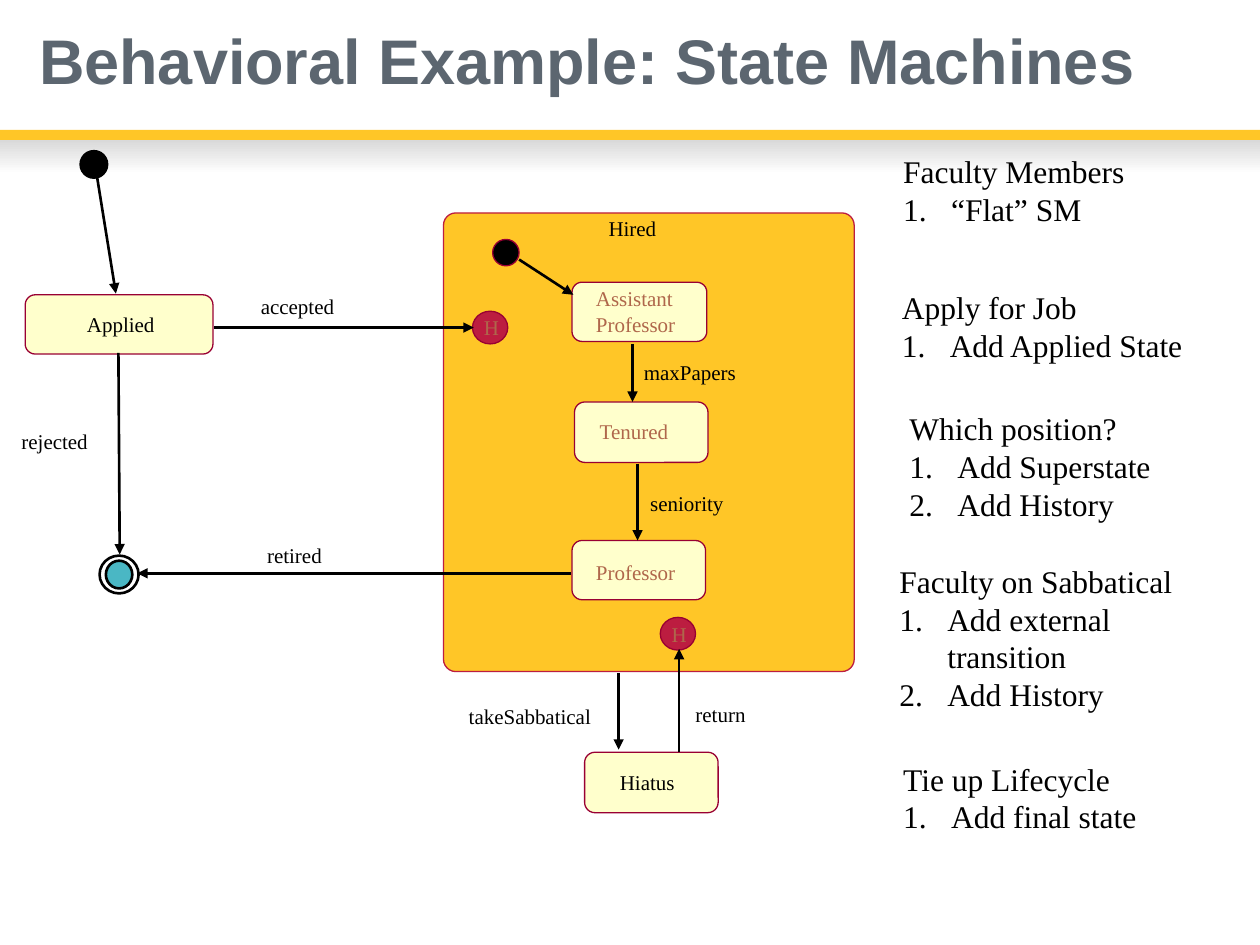
from lxml import etree
from pptx import Presentation
from pptx.dml.color import RGBColor
from pptx.enum.shapes import MSO_CONNECTOR, MSO_SHAPE
from pptx.enum.text import MSO_ANCHOR, PP_ALIGN
from pptx.oxml.ns import qn
from pptx.util import Inches, Pt

RECT = MSO_SHAPE.RECTANGLE
ROUND = MSO_SHAPE.ROUNDED_RECTANGLE
OVAL = MSO_SHAPE.OVAL
STRAIGHT = MSO_CONNECTOR.STRAIGHT
MIDDLE = MSO_ANCHOR.MIDDLE
LEFT = PP_ALIGN.LEFT

BLACK = RGBColor(0x00, 0x00, 0x00)
WHITE = RGBColor(0xFF, 0xFF, 0xFF)
SHADE = RGBColor(0xD9, 0xD9, 0xD9)
GOLD = RGBColor(0xFF, 0xC6, 0x27)
SLATE = RGBColor(0x5C, 0x66, 0x70)
CREAM = RGBColor(0xFF, 0xFF, 0xCC)
WINE = RGBColor(0x99, 0x00, 0x33)
RED = RGBColor(0xBC, 0x1D, 0x40)
BROWN = RGBColor(0xAF, 0x67, 0x4B)
TEAL = RGBColor(0x4A, 0xB7, 0xC4)

SERIF = "Times New Roman"


class Board:
    def __init__(self, slide):
        self.slide = slide
        self.shapes = slide.shapes

    def words(self, para, text, size, color, face=SERIF, bold=False):
        run = para.add_run()
        run.text = text
        font = run.font
        font.name, font.size, font.bold = face, Pt(size), bold
        font.color.rgb = color

    def title(self, text):
        title = self.shapes.title
        title.left, title.top = Inches(0.21), Inches(0)
        title.width, title.height = Inches(9.52), Inches(1.02)
        frame = title.text_frame
        frame.vertical_anchor = MIDDLE
        para = frame.paragraphs[0]
        para.alignment = LEFT
        para.line_spacing = 0.9
        self.words(para, text, 36, SLATE, "Arial", True)

    def shape(self, kind, x, y, w, h, fill=None, line=None, width=0.75):
        item = self.shapes.add_shape(
            kind, Inches(x), Inches(y), Inches(w), Inches(h))
        item.shadow.inherit = False
        if fill is None:
            item.fill.background()
        else:
            item.fill.solid()
            item.fill.fore_color.rgb = fill
        if line is None:
            item.line.fill.background()
        else:
            item.line.color.rgb = line
            item.line.width = Pt(width)
        return item

    def band(self):
        fade = self.shape(RECT, 0, 1.11, 10, 0.27, WHITE).fill
        fade.gradient()
        fade.gradient_angle = 270
        for stop, color, place in zip(fade.gradient_stops, (SHADE, WHITE), (0, 1)):
            stop.color.rgb = color
            stop.position = place
        self.shape(RECT, 0, 1.03, 10, 0.08, GOLD)

    def state(self, x, y, w, h=0.47):
        self.shape(ROUND, x, y, w, h, CREAM, WINE).adjustments[0] = 0.17

    def label(self, text, x, y, w, color=BLACK, fill=None):
        lines = text.split("\n")
        box = self.shapes.add_textbox(
            Inches(x), Inches(y), Inches(w), Inches(0.2 * len(lines)))
        if fill is not None:
            box.fill.solid()
            box.fill.fore_color.rgb = fill
        frame = box.text_frame
        frame.word_wrap = False
        frame.margin_left = frame.margin_right = 0
        frame.margin_top = frame.margin_bottom = 0
        for i, line in enumerate(lines):
            para = frame.add_paragraph() if i else frame.paragraphs[0]
            self.words(para, line, 12, color)

    def past(self, x, y):
        self.shape(OVAL, x, y, 0.28, 0.26, RED, WINE)
        self.label("H", x + 0.09, y + 0.03, 0.12, BROWN, RED)

    def arrow(self, x1, y1, x2, y2):
        link = self.shapes.add_connector(
            STRAIGHT, Inches(x1), Inches(y1), Inches(x2), Inches(y2))
        link.line.color.rgb = BLACK
        link.line.width = Pt(1.5)
        props = link._element.spPr
        etree.SubElement(props.find(qn("a:ln")), qn("a:tailEnd"), type="triangle")
        etree.SubElement(props, qn("a:effectLst"))

    def notes(self, x, y, w, head, *steps):
        box = self.shapes.add_textbox(
            Inches(x), Inches(y), Inches(w), Inches(0.1 + 0.3 * (len(steps) + 1)))
        frame = box.text_frame
        frame.word_wrap = True
        self.words(frame.paragraphs[0], head, 18, BLACK)
        for step in steps:
            para = frame.add_paragraph()
            props = para._p.get_or_add_pPr()
            props.set("marL", str(Inches(0.38)))
            props.set("indent", str(Inches(-0.38)))
            tint = etree.SubElement(props, qn("a:buClr"))
            etree.SubElement(tint, qn("a:srgbClr"), val=str(BLACK))
            etree.SubElement(props, qn("a:buFont"), typeface=SERIF)
            etree.SubElement(props, qn("a:buAutoNum"), type="arabicPeriod")
            self.words(para, step, 18, BLACK)


def main():
    deck = Presentation()
    deck.slide_width, deck.slide_height = Inches(10), Inches(7.5)
    board = Board(deck.slides.add_slide(deck.slide_layouts[5]))
    board.band()
    board.title("Behavioral Example: State Machines")

    board.shape(ROUND, 3.52, 1.69, 3.26, 3.64, GOLD, RED).adjustments[0] = 0.03
    board.label("Hired", 4.83, 1.71, 0.4)

    board.shape(OVAL, 0.64, 1.2, 0.21, 0.21, BLACK, BLACK, 1.5)
    board.shape(OVAL, 3.91, 1.9, 0.21, 0.21, BLACK, WINE)
    board.shape(OVAL, 0.79, 4.41, 0.31, 0.3, None, BLACK, 1.5)
    board.shape(OVAL, 0.84, 4.45, 0.21, 0.22, TEAL, BLACK, 1.5)

    for box in (
        (0.2, 2.34, 1.49),
        (4.54, 2.24, 1.07),
        (4.56, 3.19, 1.06, 0.48),
        (4.54, 4.29, 1.06),
        (4.64, 5.97, 1.06, 0.48),
    ):
        board.state(*box)

    board.past(3.75, 2.47)
    board.past(5.24, 4.9)

    for ends in (
        (0.77, 1.4, 0.92, 2.33),
        (1.7, 2.6, 3.76, 2.6),
        (0.94, 2.8, 0.95, 4.4),
        (4.53, 4.55, 1.09, 4.55),
        (4.12, 2.06, 4.55, 2.34),
        (5.02, 2.73, 5.02, 3.19),
        (5.06, 3.68, 5.06, 4.29),
        (5.39, 5.97, 5.39, 5.15),
        (4.91, 5.34, 4.91, 5.95),
    ):
        board.arrow(*ends)

    for label in (
        ("Applied", 0.69, 2.47, 0.56),
        ("accepted", 2.07, 2.33, 0.68),
        ("rejected", 0.17, 3.4, 0.59),
        ("retired", 2.12, 4.31, 0.47),
        ("Assistant\nProfessor", 4.73, 2.27, 0.71, BROWN),
        ("Tenured", 4.76, 3.32, 0.62, BROWN),
        ("Professor", 4.73, 4.44, 0.71, BROWN),
        ("maxPapers", 5.11, 2.85, 0.84),
        ("seniority", 5.16, 3.89, 0.62),
        ("Hiatus", 4.92, 6.11, 0.47),
        ("takeSabbatical", 3.72, 5.58, 1.09),
        ("return", 5.52, 5.57, 0.44),
    ):
        board.label(*label)

    board.notes(7.07, 1.16, 2.54, "Faculty Members", "“Flat” SM")
    board.notes(7.06, 2.24, 2.67, "Apply for Job", "Add Applied State")
    board.notes(7.12, 3.2, 2.54, "Which position?", "Add Superstate", "Add History")
    board.notes(7.04, 4.41, 2.67, "Faculty on Sabbatical",
                "Add external transition", "Add History")
    board.notes(7.07, 5.98, 2.54, "Tie up Lifecycle", "Add final state")

    deck.save("out.pptx")


if __name__ == "__main__":
    main()
